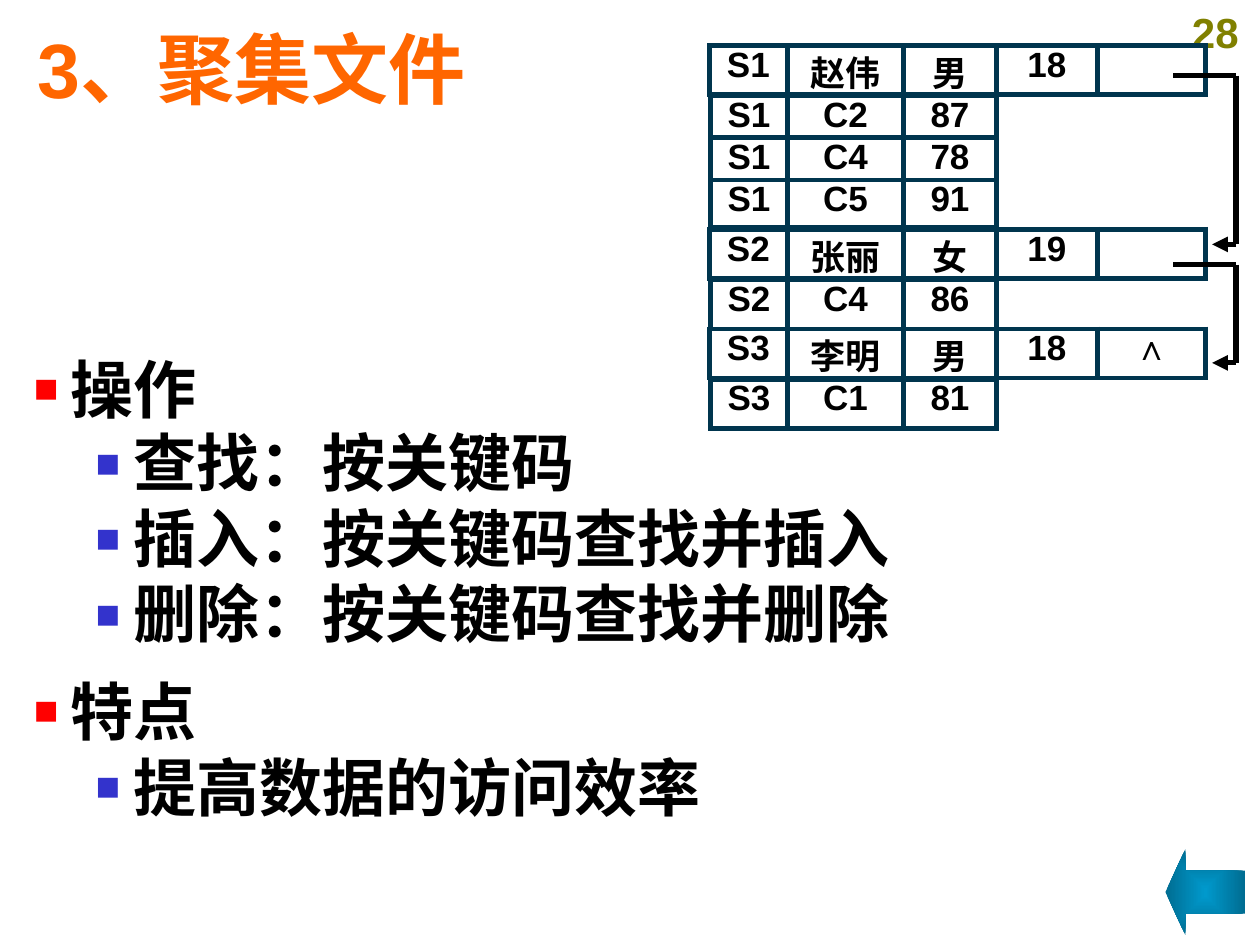
from dataclasses import dataclass
from itertools import pairwise

from lxml import etree
from pptx import Presentation
from pptx.dml.color import RGBColor
from pptx.enum.shapes import MSO_CONNECTOR, MSO_SHAPE
from pptx.enum.text import MSO_ANCHOR, PP_ALIGN
from pptx.oxml.ns import qn
from pptx.util import Inches, Pt

STRAIGHT = MSO_CONNECTOR.STRAIGHT
LEFT_ARROW = MSO_SHAPE.LEFT_ARROW
CENTER = PP_ALIGN.CENTER
TOP, MIDDLE = MSO_ANCHOR.TOP, MSO_ANCHOR.MIDDLE


@dataclass(frozen=True)
class Theme:
    sans: str = "Arial"
    serif: str = "Times New Roman"
    black: str = "000000"
    title: str = "FF6600"
    number: str = "808000"
    border: str = "00354E"
    bullets: tuple = ("FF0000", "3333CC")
    arrow: tuple = ("0099CC", "006D92")
    title_size: int = 44
    body_size: int = 36
    number_size: int = 24
    cell_size: int = 20
    line_width: int = 3


def sub(parent, tag, **attrs):
    return etree.SubElement(parent, qn(tag), attrs)


def write(p, text, *, size, font, color, align=None):
    p.alignment = align
    r = p.add_run()
    r.text = text
    r.font.size, r.font.name, r.font.bold = Pt(size), font, True
    r.font.color.rgb = RGBColor.from_string(color)


def add_bullet(p, color, margin, indent):
    pPr = p._p.get_or_add_pPr()
    pPr.set("marL", str(Inches(margin)))
    pPr.set("indent", str(Inches(indent)))
    sub(sub(pPr, "a:buClr"), "a:srgbClr", val=color)
    sub(pPr, "a:buSzPct", val="65000")
    sub(pPr, "a:buFont", typeface="Arial")
    sub(pPr, "a:buChar", char="■")


class SlideBuilder:
    def __init__(self, slide, theme):
        self.slide, self.theme = slide, theme

    def text_frame(self, x, y, w, h, anchor=TOP):
        box = self.slide.shapes.add_textbox(Inches(x), Inches(y), Inches(w), Inches(h))
        tf = box.text_frame
        tf.word_wrap = True
        tf.vertical_anchor = anchor
        return tf

    def label(self, box, text, anchor=TOP, **fmt):
        write(self.text_frame(*box, anchor).paragraphs[0], text, **fmt)

    def outline(self, box, items):
        """Bulleted list from (level, text, space before, line spacing) items."""
        t = self.theme
        tf = self.text_frame(*box)
        for i, (level, text, before, spacing) in enumerate(items):
            p = tf.add_paragraph() if i else tf.paragraphs[0]
            p.level = level
            if before:
                p.space_before = Pt(before)
            if spacing:
                p.line_spacing = spacing
            add_bullet(p, t.bullets[level], *((0.29, -0.29), (0.79, -0.3))[level])
            write(p, text, size=t.body_size, font=t.serif, color=t.black)

    def table(self, x, y, widths, heights, rows):
        frame = self.slide.shapes.add_table(
            len(rows), len(widths), Inches(x), Inches(y),
            Inches(sum(widths)), Inches(sum(heights)))
        table = frame.table
        table.first_row = table.horz_banding = False
        for column, width in zip(table.columns, widths):
            column.width = Inches(width)
        for row, height, texts in zip(table.rows, heights, rows):
            row.height = Inches(height)
            for cell, text in zip(row.cells, texts):
                self.format_cell(cell, text)

    def format_cell(self, cell, text):
        t = self.theme
        cell.margin_top = cell.margin_bottom = 0
        tcPr = cell._tc.get_or_add_tcPr()
        for side in "LRTB":
            ln = sub(tcPr, f"a:ln{side}", w=str(Pt(t.line_width)))
            sub(sub(ln, "a:solidFill"), "a:srgbClr", val=t.border)
        cell.fill.background()
        if text:
            write(cell.text_frame.paragraphs[0], text, size=t.cell_size,
                  font=t.sans, color=t.black, align=CENTER)

    def pointer(self, top, bottom):
        """Bracket of three lines that links one record to the next."""
        points = [(9.31, top), (9.81, top), (9.81, bottom), (9.62, bottom)]
        for start, end in pairwise(points):
            line = self.slide.shapes.add_connector(
                STRAIGHT, *(Inches(v) for v in start + end))
            line.line.width = Pt(self.theme.line_width)
            line.line.color.rgb = RGBColor.from_string(self.theme.black)
            sub(line._element.spPr, "a:effectLst")
        sub(line.line._get_or_add_ln(), "a:tailEnd", type="triangle")

    def back_arrow(self, x, y, w, h):
        sp = self.slide.shapes.add_shape(
            LEFT_ARROW, Inches(x), Inches(y), Inches(w), Inches(h))
        sp.shadow.inherit = False
        sp.adjustments[0], sp.adjustments[1] = 0.5, 0.25
        sp.line.fill.background()
        sp.fill.gradient()
        for stop, color in zip(sp.fill.gradient_stops, self.theme.arrow):
            stop.color.rgb = RGBColor.from_string(color)
        grad = sp._element.spPr.find(qn("a:gradFill"))
        grad.remove(grad.find(qn("a:lin")))
        sub(sub(grad, "a:path", path="rect"), "a:fillToRect",
            l="50000", t="50000", r="50000", b="50000")


STUDENT_COLS = [0.62, 0.92, 0.74, 0.8, 0.86]
COURSE_COLS = [0.61, 0.92, 0.74]
ROW = 0.39

# Top of the student row, the student, row heights and rows of the courses
CLUSTERS = [
    (0.36, ["S1", "赵伟", "男", "18", ""], [0.31, 0.32, 0.38],
     [["S1", "C2", "87"], ["S1", "C4", "78"], ["S1", "C5", "91"]]),
    (1.82, ["S2", "张丽", "女", "19", ""], [ROW], [["S2", "C4", "86"]]),
    (2.61, ["S3", "李明", "男", "18", "∧"], [ROW], [["S3", "C1", "81"]]),
]

OUTLINE = [
    (0, "操作", 0, None),
    (1, "查找：按关键码", 2, 0.95),
    (1, "插入：按关键码查找并插入", 2, 0.95),
    (1, "删除：按关键码查找并删除", 2, 0.95),
    (0, "特点", 12, None),
    (1, "提高数据的访问效率", 0, None),
]


def main():
    prs = Presentation()
    prs.slide_width, prs.slide_height = Inches(10), Inches(7.5)
    t = Theme()
    s = SlideBuilder(prs.slides.add_slide(prs.slide_layouts[6]), t)

    s.label((9.29, 0, 0.71, 0.5), "28", size=t.number_size, font=t.sans,
            color=t.number, align=CENTER)
    s.outline((0.17, 2.73, 9.56, 4.41), OUTLINE)
    s.label((0.2, 0.16, 9.47, 0.76), "3、聚集文件", MIDDLE, size=t.title_size,
            font=t.sans, color=t.title)
    s.back_arrow(9.25, 6.74, 0.63, 0.68)
    for top, student, heights, courses in CLUSTERS:
        s.table(5.63, top, STUDENT_COLS, [ROW], [student])
        s.table(5.64, top + 0.4, COURSE_COLS, heights, courses)
    s.pointer(0.6, 1.94)
    s.pointer(2.1, 2.88)

    prs.save("out.pptx")


if __name__ == "__main__":
    main()
